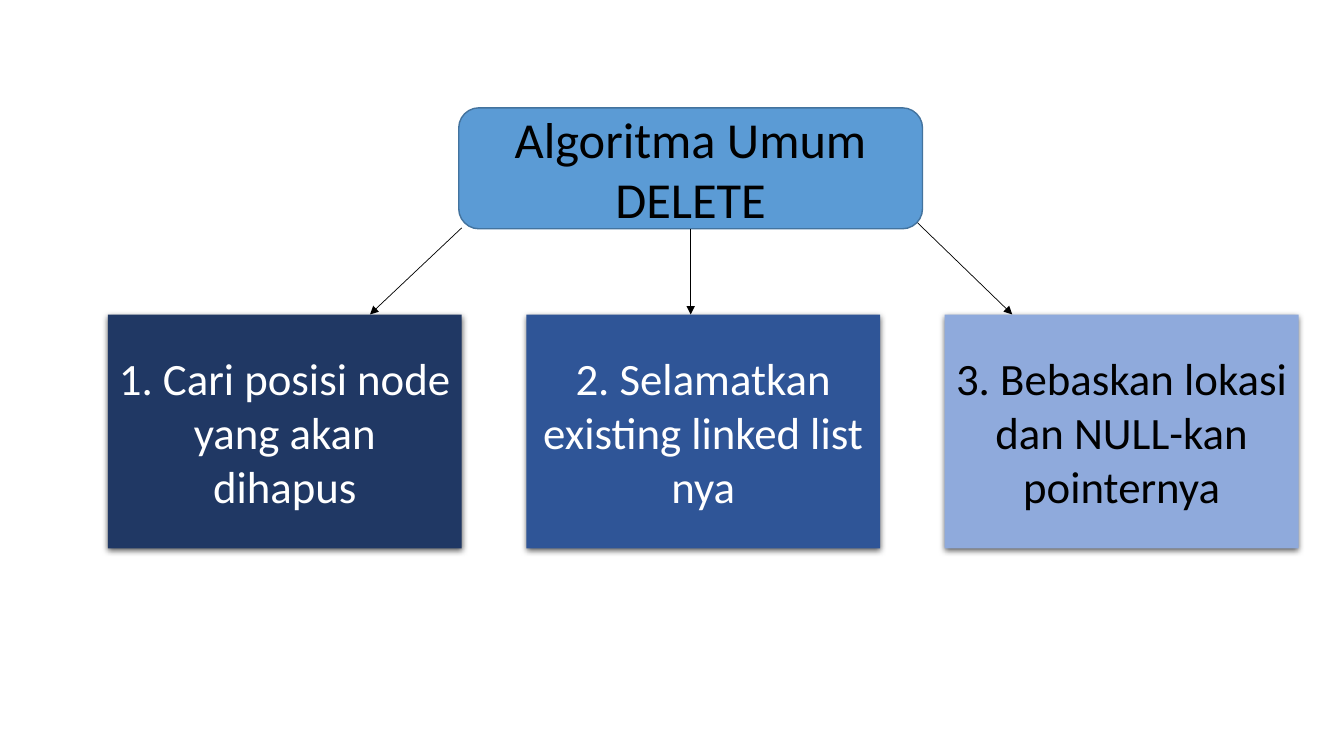
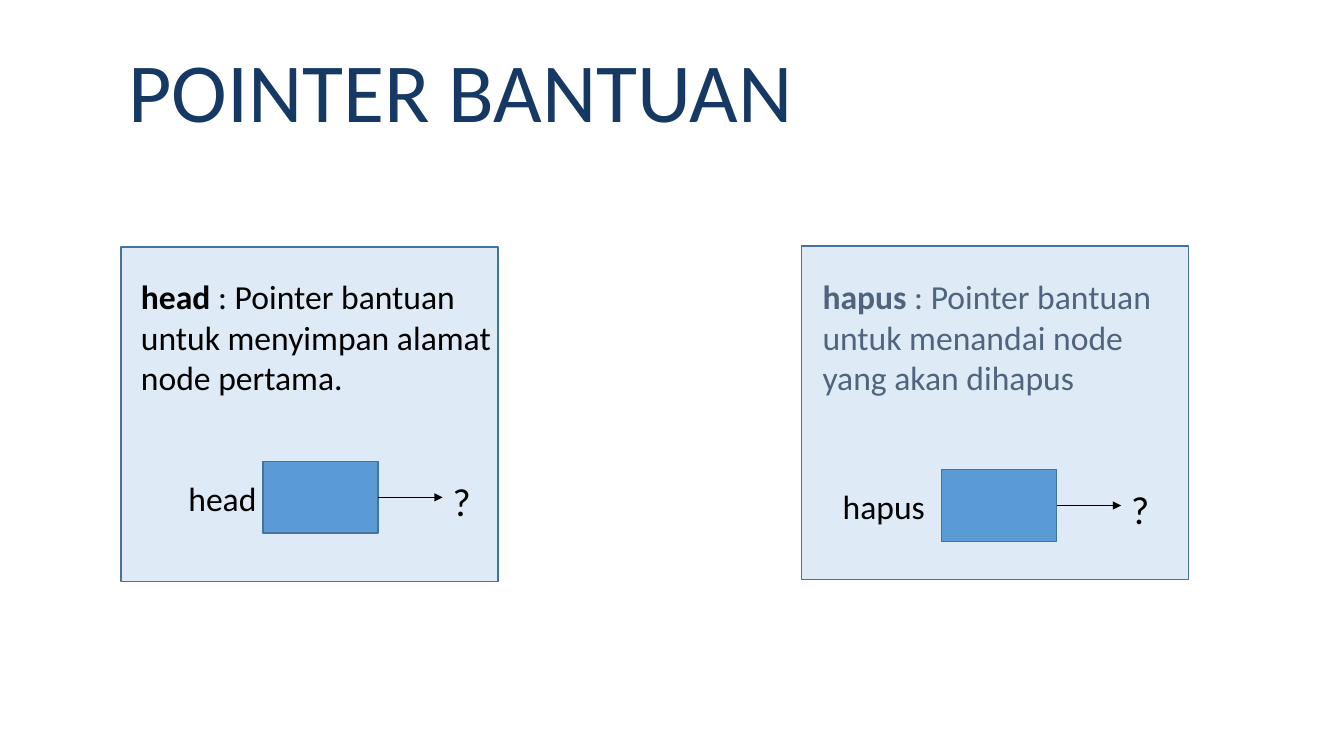
from lxml.etree import SubElement
from pptx import Presentation
from pptx.dml.color import RGBColor
from pptx.enum.shapes import MSO_CONNECTOR, MSO_SHAPE
from pptx.enum.text import MSO_ANCHOR, MSO_AUTO_SIZE, PP_ALIGN
from pptx.oxml.ns import qn
from pptx.util import Inches, Pt

FONT = "Calibri"
BLACK = RGBColor(0x00, 0x00, 0x00)
WHITE = RGBColor(0xFF, 0xFF, 0xFF)
NAVY = RGBColor(0x20, 0x38, 0x64)
ROYAL = RGBColor(0x2F, 0x55, 0x97)
PERIWINKLE = RGBColor(0x8F, 0xAA, 0xDC)
BLUE = RGBColor(0x5B, 0x9B, 0xD5)
OUTLINE = RGBColor(0x43, 0x73, 0x9E)
PALE = RGBColor(0xDE, 0xEB, 0xF7)
TITLE_BLUE = RGBColor(0x16, 0x39, 0x64)
SLATE = RGBColor(0x51, 0x64, 0x7E)

ALGORITHM = "Algoritma Umum DELETE"
ALGORITHM_AT = (4.55, 1.07, 4.6, 1.2)
STEPS = [
    ("1. Cari posisi node yang akan dihapus", NAVY, WHITE),
    ("2. Selamatkan existing linked list nya", ROYAL, WHITE),
    ("3. Bebaskan lokasi dan NULL-kan pointernya", PERIWINKLE, BLACK),
]
STEP_LEFT, STEP_TOP, STEP_PITCH = 1.07, 3.12, 4.15
STEP_SIZE = (3.51, 2.32)
SIDE_ARROWS = [((4.58, 2.26), (3.67, STEP_TOP)), ((9.1, 2.21), (10.04, STEP_TOP))]

POINTER_TITLE = "POINTER BANTUAN"
POINTERS = [
    {
        "name": "hapus",
        "meaning": [("hapus", True),
                    (" : Pointer bantuan untuk menandai node yang akan dihapus", False)],
        "colour": SLATE,
        "panel": (7.95, 2.44, 3.84, 3.31),
        "meaning_at": (8.06, 2.69, 3.84, 1.72),
        "node": (9.34, 4.66),
        "name_left": 8.26,
        "name_width": 1.03,
    },
    {
        "name": "head",
        "meaning": [("head ", True),
                    (": Pointer bantuan untuk menyimpan alamat node pertama.", False)],
        "colour": BLACK,
        "panel": (1.2, 2.45, 3.74, 3.32),
        "meaning_at": (1.3, 2.69, 3.84, 1.31),
        "node": (2.61, 4.58),
        "name_left": 1.77,
        "name_width": 0.89,
    },
]
NODE_WIDTH, NODE_HEIGHT = 1.14, 0.71
ARROW_LENGTH = 0.64
LABEL_DROP = 0.11


def inches(values):
    return [Inches(value) for value in values]


def write(paragraph, runs, size, colour):
    for text, bold in runs:
        run = paragraph.add_run()
        run.text = text
        run.font.name = FONT
        run.font.size = Pt(size)
        run.font.bold = bold
        run.font.color.rgb = colour


def add_box(shapes, at, fill, preset=MSO_SHAPE.RECTANGLE, outline=OUTLINE):
    box = shapes.add_shape(preset, *inches(at))
    box.shadow.inherit = False
    box.fill.solid()
    box.fill.fore_color.rgb = fill
    if outline is None:
        box.line.fill.background()
    else:
        box.line.color.rgb = outline
        box.line.width = Pt(1)
    return box


def write_centred(box, text, size, colour):
    frame = box.text_frame
    frame.word_wrap = True
    frame.vertical_anchor = MSO_ANCHOR.MIDDLE
    paragraph = frame.paragraphs[0]
    paragraph.alignment = PP_ALIGN.CENTER
    write(paragraph, [(text, False)], size, colour)


def drop_shadow(box):
    effects = box._element.spPr.find(qn("a:effectLst"))
    shadow = SubElement(effects, qn("a:outerShdw"), blurRad=str(Pt(4.5)),
                        dist=str(Pt(1.5)), dir="5400000", algn="ctr", rotWithShape="0")
    colour = SubElement(shadow, qn("a:srgbClr"), val=str(BLACK))
    SubElement(colour, qn("a:alpha"), val="63000")


def add_arrow(shapes, start, end, source=None, site=None):
    arrow = shapes.add_connector(MSO_CONNECTOR.STRAIGHT, *inches(start + end))
    arrow.line.color.rgb = BLACK
    arrow.line.width = Pt(0.5)
    SubElement(arrow.line._get_or_add_ln(), qn("a:tailEnd"), type="triangle")
    SubElement(arrow._element.spPr, qn("a:effectLst"))
    if source is not None:
        arrow.begin_connect(source, site)


def add_text(shapes, at, runs, size, colour, wrap):
    frame = shapes.add_textbox(*inches(at)).text_frame
    frame.word_wrap = wrap
    frame.auto_size = MSO_AUTO_SIZE.SHAPE_TO_FIT_TEXT
    write(frame.paragraphs[0], runs, size, colour)


def build_algorithm(slide):
    shapes = slide.shapes
    for index, (step, fill, colour) in enumerate(STEPS):
        at = (STEP_LEFT + index * STEP_PITCH, STEP_TOP) + STEP_SIZE
        box = add_box(shapes, at, fill, outline=None)
        drop_shadow(box)
        write_centred(box, step, 32, colour)
    algorithm = add_box(shapes, ALGORITHM_AT, BLUE, MSO_SHAPE.FLOWCHART_ALTERNATE_PROCESS)
    write_centred(algorithm, ALGORITHM, 36, BLACK)
    left, top, width, height = ALGORITHM_AT
    middle = left + width / 2
    add_arrow(shapes, (middle, top + height), (middle, STEP_TOP), algorithm, 2)
    for start, end in SIDE_ARROWS:
        add_arrow(shapes, start, end)


def add_pointer(shapes, pointer):
    add_box(shapes, pointer["panel"], PALE)
    add_text(shapes, pointer["meaning_at"], pointer["meaning"], 24, pointer["colour"], True)
    left, top = pointer["node"]
    right, middle = left + NODE_WIDTH, top + NODE_HEIGHT / 2
    target, label_top = right + ARROW_LENGTH, top + LABEL_DROP
    diagram = shapes.add_group_shape().shapes
    node = add_box(diagram, (left, top, NODE_WIDTH, NODE_HEIGHT), BLUE)
    add_text(diagram, (pointer["name_left"], label_top, pointer["name_width"], 0.5),
             [(pointer["name"], False)], 24, BLACK, False)
    add_arrow(diagram, (right, middle), (target, middle), node, 3)
    add_text(diagram, (target, label_top, 0.33, 0.57), [("?", False)], 28, BLACK, False)


def build_pointers(slide):
    title = slide.shapes.title
    title.left, title.top, title.width, title.height = inches((1.17, 0.13, 11.13, 1.63))
    title.text_frame.vertical_anchor = MSO_ANCHOR.MIDDLE
    heading = title.text_frame.paragraphs[0]
    heading.alignment = PP_ALIGN.LEFT
    heading.line_spacing = 0.9
    write(heading, [(POINTER_TITLE, False)], 60, TITLE_BLUE)
    for pointer in POINTERS:
        add_pointer(slide.shapes, pointer)


def main():
    deck = Presentation()
    deck.slide_width, deck.slide_height = inches((13.33, 7.5))
    title_only, blank = deck.slide_layouts[5], deck.slide_layouts[6]
    build_algorithm(deck.slides.add_slide(blank))
    build_pointers(deck.slides.add_slide(title_only))
    deck.save("out.pptx")


if __name__ == "__main__":
    main()
